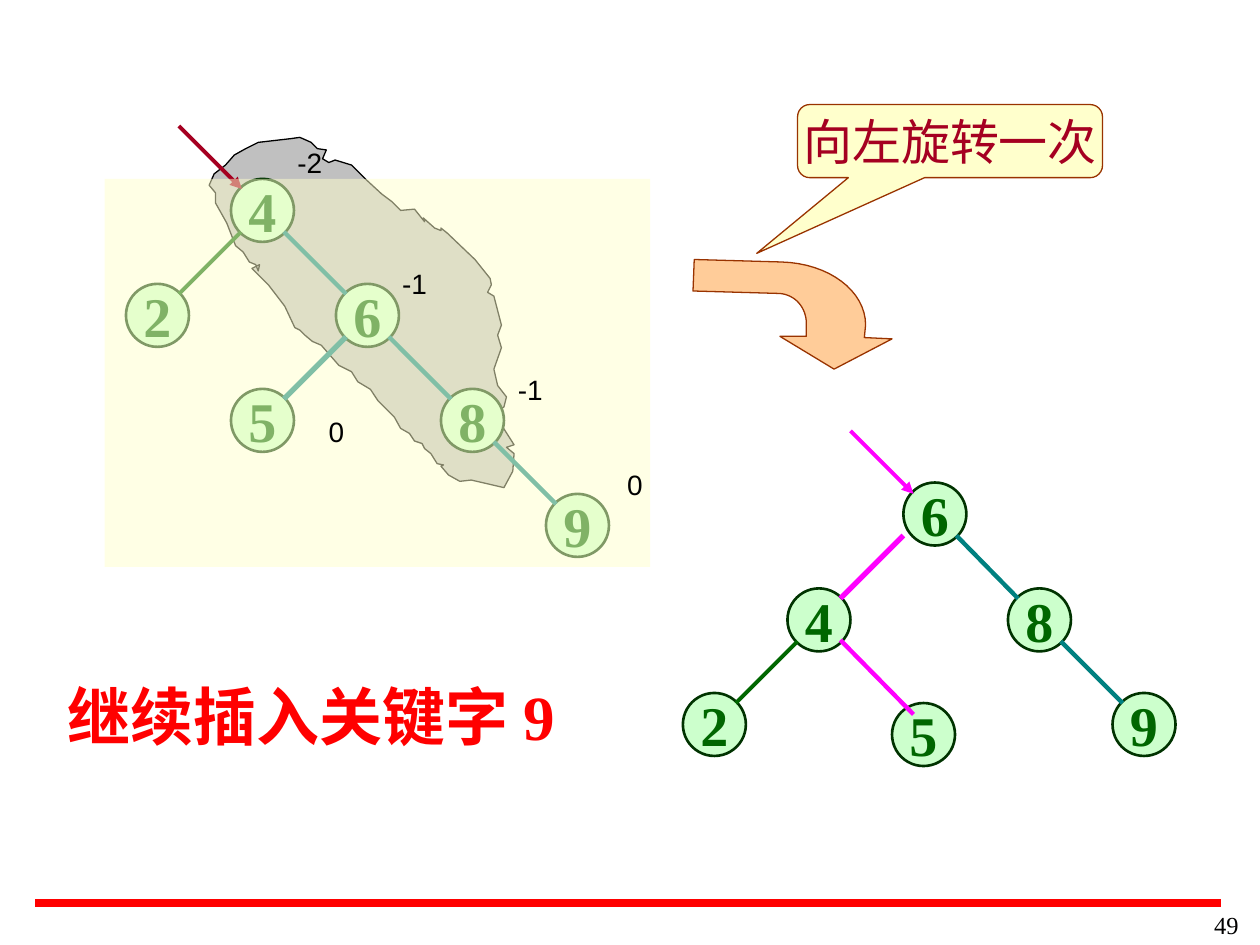
from dataclasses import dataclass

from lxml.etree import SubElement
from pptx import Presentation
from pptx.dml.color import RGBColor
from pptx.enum.shapes import MSO_CONNECTOR as Connector, MSO_SHAPE as Preset
from pptx.enum.text import MSO_ANCHOR as Anchor, PP_ALIGN as Align
from pptx.oxml.ns import qn
from pptx.util import Inches, Pt

SERIF, SANS = "Times New Roman", "Arial"
GREEN, TEAL, PINK, RED = "006600", "008080", "FF00FF", "FF0000"
NODE_SIZE, LABEL_SIZE = 0.5, 0.42
EDGE_OFFSET = 0.17  # from a node's centre to the end of its edge, both ways
STEP = 2.5 / 3  # distance between tree levels


@dataclass(frozen=True)
class Node:
    key: str
    x: float
    y: float


@dataclass(frozen=True)
class Edge:
    parent: str
    child: str
    color: str = TEAL
    width: float = 2.5


@dataclass(frozen=True)
class Line:
    start: tuple[float, float]
    end: tuple[float, float]
    color: str
    width: float
    arrow: bool = False


@dataclass(frozen=True)
class Balance:
    text: str
    left: float
    top: float


def left_node(key: str, column: int, row: int) -> Node:
    return Node(key, 1.25 + column * STEP, 1.67 + row * STEP)


LEFT_NODES = [left_node("4", 1, 0), left_node("2", 0, 1), left_node("6", 2, 1),
              left_node("5", 1, 2), left_node("8", 3, 2), left_node("9", 4, 3)]
LEFT_EDGES = [Edge("4", "2", GREEN, 2.25), Edge("4", "6"), Edge("6", "5", TEAL, 3),
              Edge("6", "8"), Edge("8", "9")]
RIGHT_NODES = [Node("4", 6.5, 4.92), Node("2", 5.67, 5.75), Node("6", 7.42, 4.08),
               Node("8", 8.25, 4.92), Node("9", 9.08, 5.75), Node("5", 7.33, 5.83)]
RIGHT_EDGES = [Edge("4", "2", GREEN, 2.25), Edge("6", "8"), Edge("8", "9")]
ROOT_POINTER = Line((1.42, 1), (1.92, 1.5), "A50021", 2.25, True)
ROTATED_LINES = [Line((7.17, 4.25), (6.67, 4.75), PINK, 3),
                 Line((6.75, 3.42), (7.25, 3.92), PINK, 2.25, True),
                 Line((6.67, 5.08), (7.25, 5.67), PINK, 2.5)]
BALANCES = [Balance("-2", 2.25, 1.08), Balance("-1", 3.08, 2.04), Balance("-1", 4, 2.88),
            Balance("0", 4.83, 3.63), Balance("0", 2.46, 3.21)]

UNBALANCED_PATH = [
    (1.66, 1.47), (1.7, 1.38), (1.79, 1.31), (1.86, 1.23), (1.95, 1.18), (2.05, 1.13),
    (2.31, 1.1), (2.38, 1.09), (2.47, 1.13), (2.52, 1.18), (2.59, 1.19), (2.56, 1.26),
    (2.61, 1.29), (2.66, 1.27), (2.79, 1.31), (2.9, 1.42), (3.03, 1.54), (3.11, 1.6),
    (3.18, 1.67), (3.29, 1.66), (3.37, 1.76), (3.36, 1.73), (3.45, 1.81), (3.5, 1.83),
    (3.5, 1.81), (3.55, 1.85), (3.77, 2.06), (3.89, 2.21), (3.9, 2.26), (3.87, 2.32),
    (3.92, 2.35), (3.98, 2.58), (3.95, 2.66), (3.98, 2.76), (3.92, 2.93), (3.95, 3.06),
    (4.02, 3.15), (4, 3.23), (3.95, 3.26), (3.94, 3.31), (4.08, 3.53), (4.02, 3.55),
    (4.08, 3.6), (4.07, 3.74), (4, 3.87), (3.87, 3.84), (3.74, 3.81), (3.65, 3.82),
    (3.56, 3.77), (3.5, 3.7), (3.52, 3.69), (3.47, 3.68), (3.42, 3.6), (3.37, 3.56),
    (3.35, 3.52), (3.29, 3.5), (3.25, 3.44), (3.18, 3.4), (3.13, 3.31), (3, 3.18),
    (2.94, 3.09), (2.84, 3.03), (2.79, 2.95), (2.69, 2.9), (2.55, 2.74), (2.48, 2.71),
    (2.42, 2.66), (2.38, 2.62), (2.34, 2.6), (2.26, 2.43), (2.13, 2.26), (2, 2.13),
    (2.06, 2.1), (2.05, 2.15), (2.03, 2.1), (1.98, 2.08), (1.93, 2), (1.87, 1.95),
    (1.8, 1.77), (1.71, 1.61), (1.71, 1.53)]


def curve(*controls: tuple[float, float], steps: int = 16) -> list[tuple[float, float]]:
    """Points along a cubic curve, both ends included."""
    points = []
    for step in range(steps + 1):
        t = step / steps
        weights = ((1 - t) ** 3, 3 * t * (1 - t) ** 2, 3 * t * t * (1 - t), t ** 3)
        points.append(tuple(sum(w * c[axis] for w, c in zip(weights, controls))
                            for axis in (0, 1)))
    return points


TURN_ARROW = [
    (6.62, 2.93), (7.08, 2.69), (6.86, 2.68),
    *curve((6.87, 2.58), (6.87, 2.31), (6.58, 2.09), (6.2, 2.08)),
    (5.51, 2.06), (5.5, 2.31),
    *curve((6.19, 2.33), (6.31, 2.34), (6.4, 2.44), (6.4, 2.57)),
    (6.4, 2.67), (6.19, 2.67)]


def rgb(color: str) -> RGBColor:
    return RGBColor.from_string(color)


def style(shape, fill: str | None, line: str | None = None, width: float = 0.75) -> None:
    shape.shadow.inherit = False
    if fill:
        shape.fill.solid()
        shape.fill.fore_color.rgb = rgb(fill)
    else:
        shape.fill.background()
    if line:
        shape.line.color.rgb = rgb(line)
        shape.line.width = Pt(width)
    else:
        shape.line.fill.background()


def write(shape, text: str, size: float, color: str, font: str = SERIF, bold: bool = False,
          align=Align.CENTER, anchor=Anchor.MIDDLE, wrap: bool = False) -> None:
    frame = shape.text_frame
    frame.word_wrap = wrap
    frame.vertical_anchor = anchor
    paragraph = frame.paragraphs[0]
    paragraph.text = text
    paragraph.alignment = align
    paragraph.font.name = font
    paragraph.font.size = Pt(size)
    paragraph.font.bold = bold
    paragraph.font.color.rgb = rgb(color)


def add_preset(slide, preset, left: float, top: float, width: float, height: float):
    return slide.shapes.add_shape(preset, Inches(left), Inches(top),
                                  Inches(width), Inches(height))


def add_outline(slide, points: list[tuple[float, float]], fill: str, line: str) -> None:
    start, *rest = [(Inches(x), Inches(y)) for x, y in points]
    builder = slide.shapes.build_freeform(*start)
    builder.add_line_segments(rest, close=True)
    style(builder.convert_to_shape(), fill, line)


def add_line(slide, line: Line) -> None:
    connector = slide.shapes.add_connector(
        Connector.STRAIGHT, *(Inches(value) for value in line.start + line.end))
    connector.line.color.rgb = rgb(line.color)
    connector.line.width = Pt(line.width)
    if line.arrow:
        SubElement(connector.line._get_or_add_ln(), qn("a:tailEnd"), type="triangle")
    SubElement(connector._element.spPr, qn("a:effectLst"))


def add_tree(slide, nodes: list[Node], edges: list[Edge]) -> None:
    for node in nodes:
        circle = add_preset(slide, Preset.OVAL, node.x - NODE_SIZE / 2,
                            node.y - NODE_SIZE / 2, NODE_SIZE, NODE_SIZE)
        style(circle, "CCFFCC", "003300", 1.5)
        write(circle, node.key, 32, GREEN, bold=True)
    by_key = {node.key: node for node in nodes}
    for edge in edges:
        parent, child = by_key[edge.parent], by_key[edge.child]
        shift = EDGE_OFFSET if child.x > parent.x else -EDGE_OFFSET
        add_line(slide, Line((parent.x + shift, parent.y + EDGE_OFFSET),
                             (child.x - shift, child.y - EDGE_OFFSET),
                             edge.color, edge.width))


def add_text(slide, left: float, top: float, width: float, height: float, text: str,
             **options) -> None:
    box = slide.shapes.add_textbox(Inches(left), Inches(top), Inches(width), Inches(height))
    write(box, text, anchor=Anchor.TOP, wrap=True, **options)


def main() -> None:
    presentation = Presentation()
    presentation.slide_width, presentation.slide_height = Inches(10), Inches(7.5)
    slide = presentation.slides.add_slide(presentation.slide_layouts[6])

    add_text(slide, 9.17, 7.17, 0.76, 0.33, "49", size=14, color="010000", align=Align.RIGHT)
    add_line(slide, Line((0.28, 7.17), (9.69, 7.17), RED, 4.5))

    add_outline(slide, UNBALANCED_PATH, "C0C0C0", "000000")
    add_tree(slide, LEFT_NODES, LEFT_EDGES)
    add_line(slide, ROOT_POINTER)
    veil = add_preset(slide, Preset.RECTANGLE, 0.83, 1.42, 4.33, 3.08)
    style(veil, "FFFFCC")
    veil_color = veil._element.spPr.find(qn("a:solidFill"))[0]
    SubElement(veil_color, qn("a:alpha"), val="50000")

    add_tree(slide, RIGHT_NODES, RIGHT_EDGES)
    for line in ROTATED_LINES:
        add_line(slide, line)

    add_outline(slide, TURN_ARROW, "FFCC99", "993300")
    callout = add_preset(slide, Preset.ROUNDED_RECTANGULAR_CALLOUT, 6.33, 0.83, 2.42, 0.58)
    for index, value in enumerate((-0.634, 1.536, 0.167)):
        callout.adjustments[index] = value
    style(callout, "FFFFCC", "993300")
    write(callout, "向左旋转一次", 28, "A50021")

    add_text(slide, 0.44, 5.33, 4.39, 0.7, "继续插入关键字 9", size=36, color=RED,
             bold=True, align=Align.LEFT)
    for balance in BALANCES:
        label = add_preset(slide, Preset.OVAL, balance.left, balance.top,
                           LABEL_SIZE, LABEL_SIZE)
        style(label, None)
        write(label, balance.text, 16, "000000", SANS)

    presentation.save("out.pptx")


if __name__ == "__main__":
    main()
